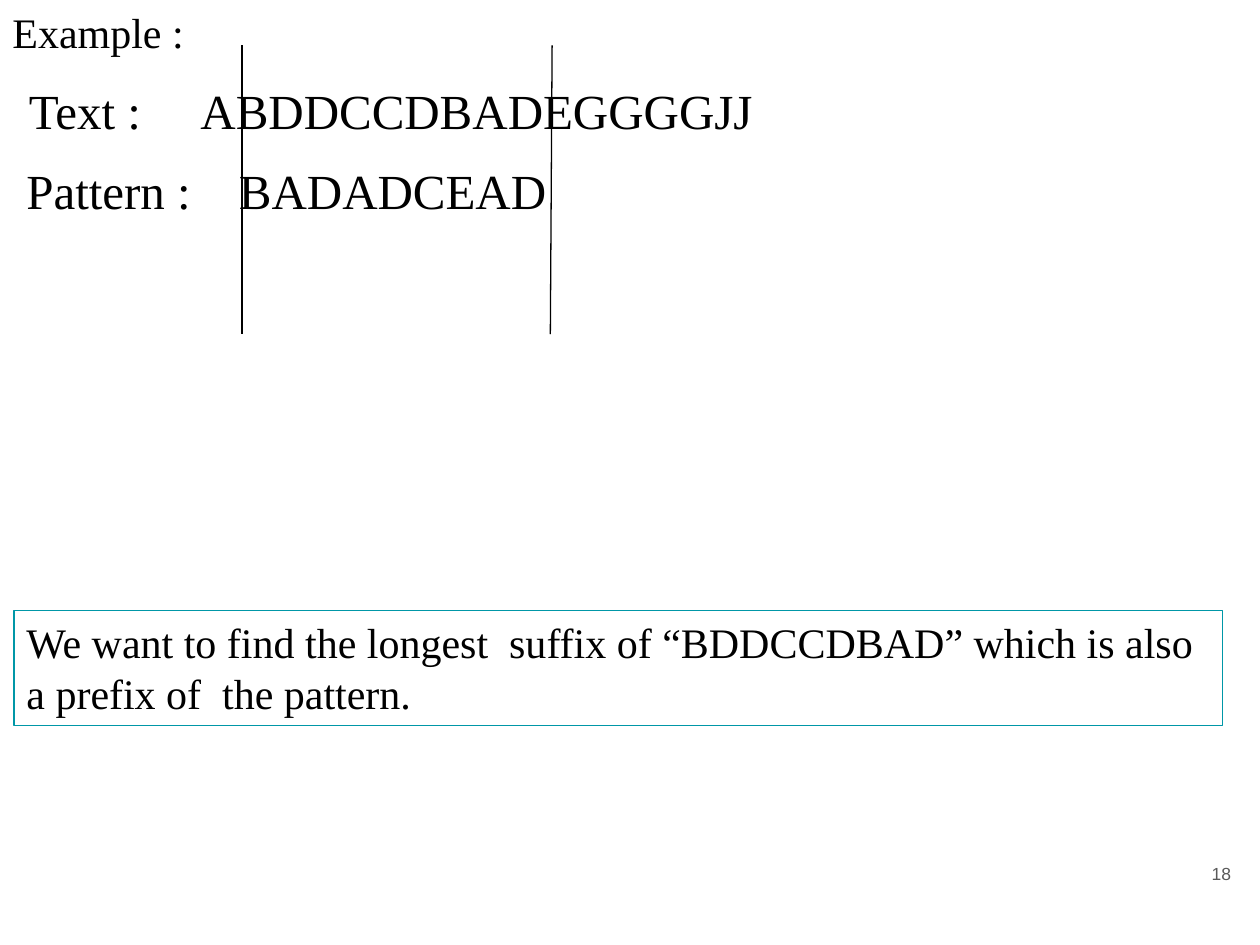
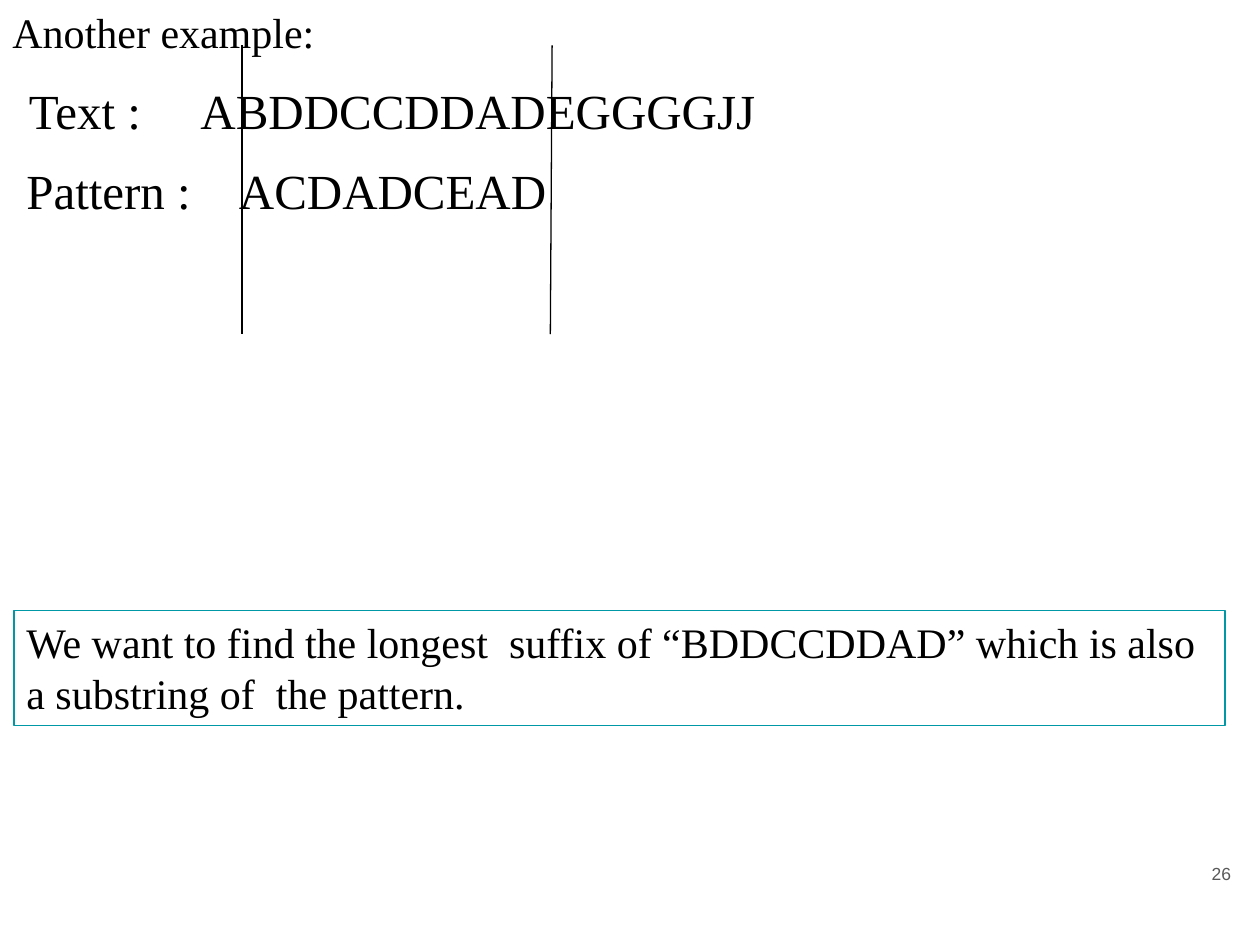
from lxml.etree import SubElement
from pptx import Presentation
from pptx.dml.color import RGBColor
from pptx.enum.shapes import MSO_CONNECTOR, MSO_SHAPE
from pptx.enum.text import MSO_ANCHOR, PP_ALIGN
from pptx.oxml.ns import qn
from pptx.util import Pt

BLACK = RGBColor(0x00, 0x00, 0x00)
GREY = RGBColor(0x59, 0x59, 0x59)
TEAL = RGBColor(0x00, 0x97, 0xA7)
SERIF = "Times New Roman"
SANS = "Arial"
LINE_WIDTH = Pt(0.75)

EXAMPLES = [
    ("Example :", 132, "ABDDCCDBADEGGGGJJ", "BADADCEAD",
     ["We want to find the longest  suffix of “BDDCCDBAD” which is also",
      "a prefix of  the pattern."], 690.5, "18"),
    ("Another example:", 206, "ABDDCCDDADEGGGGJJ", "ACDADCEAD",
     ["We want to find the longest  suffix of “BDDCCDDAD” which is also",
      "a substring of  the pattern."], 692, "26"),
]


class Deck:
    def __init__(self):
        self.presentation = Presentation()
        self.presentation.slide_width = Pt(720)
        self.presentation.slide_height = Pt(540)
        self.slide = None

    def new_slide(self):
        blank = self.presentation.slide_layouts[6]
        self.slide = self.presentation.slides.add_slide(blank)

    def fill_frame(self, frame, lines, size, font=SERIF, color=BLACK,
                   align=PP_ALIGN.LEFT, tab=None):
        frame.word_wrap = True
        frame.vertical_anchor = MSO_ANCHOR.TOP
        for index, line in enumerate(lines):
            paragraph = frame.add_paragraph() if index else frame.paragraphs[0]
            paragraph.text = line
            paragraph.alignment = align
            paragraph.line_spacing = 1.0
            if tab:
                stops = SubElement(paragraph._p.get_or_add_pPr(), qn("a:tabLst"))
                SubElement(stops, qn("a:tab"), pos=str(Pt(tab)), algn="l")
            paragraph.font.name = font
            paragraph.font.size = Pt(size)
            paragraph.font.color.rgb = color

    def text(self, line, left, top, width, height, size, **style):
        box = self.slide.shapes.add_textbox(Pt(left), Pt(top), Pt(width), Pt(height))
        self.fill_frame(box.text_frame, [line], size, **style)

    def framed_note(self, lines, left, top, width, height):
        note = self.slide.shapes.add_shape(
            MSO_SHAPE.RECTANGLE, Pt(left), Pt(top), Pt(width), Pt(height))
        note.shadow.inherit = False
        note.fill.background()
        note.line.color.rgb = TEAL
        note.line.width = LINE_WIDTH
        self.fill_frame(note.text_frame, lines, 24)

    def window_edge(self, top_x, bottom_x):
        edge = self.slide.shapes.add_connector(
            MSO_CONNECTOR.STRAIGHT, Pt(top_x), Pt(26), Pt(bottom_x), Pt(191))
        edge.line.color.rgb = BLACK
        edge.line.width = LINE_WIDTH
        SubElement(edge._element.spPr, qn("a:effectLst"))

    def page_number(self, number):
        self.text(number, 667.5, 489.5, 43, 41, 10,
                  font=SANS, color=GREY, align=PP_ALIGN.RIGHT)

    def example(self, title, title_width, text, pattern, goal, goal_width, number):
        self.new_slide()
        self.page_number(number)
        self.text(f"Text :\t{text}", 9.5, 42.5, 432, 41, 28, tab=98)
        self.text(f"Pattern :\t{pattern}", 8, 88, 312.5, 41, 28, tab=121.5)
        self.window_edge(138.25, 138.25)
        self.window_edge(315.5, 314.5)
        self.text(title, 0, 0, title_width, 36, 24)
        self.framed_note(goal, 8, 349, goal_width, 65.5)


def main():
    deck = Deck()
    for example in EXAMPLES:
        deck.example(*example)
    deck.presentation.save("out.pptx")


if __name__ == "__main__":
    main()
